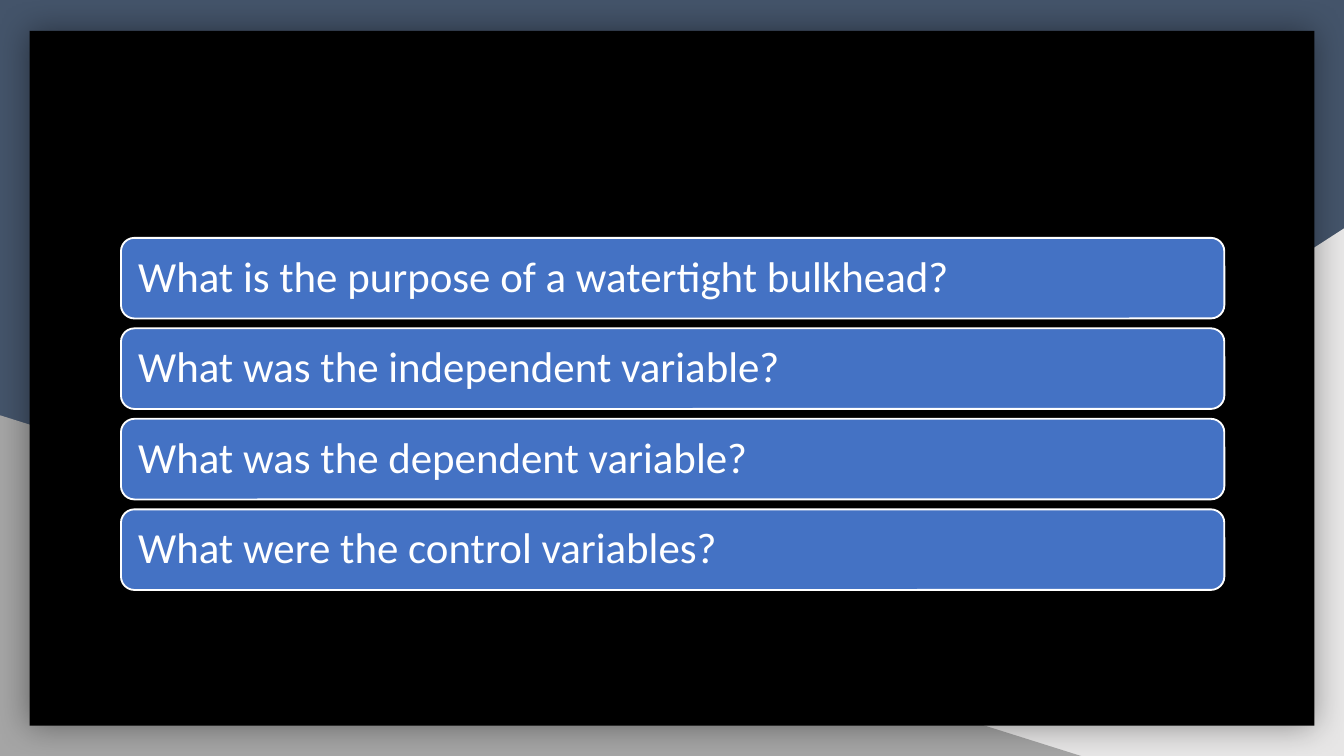
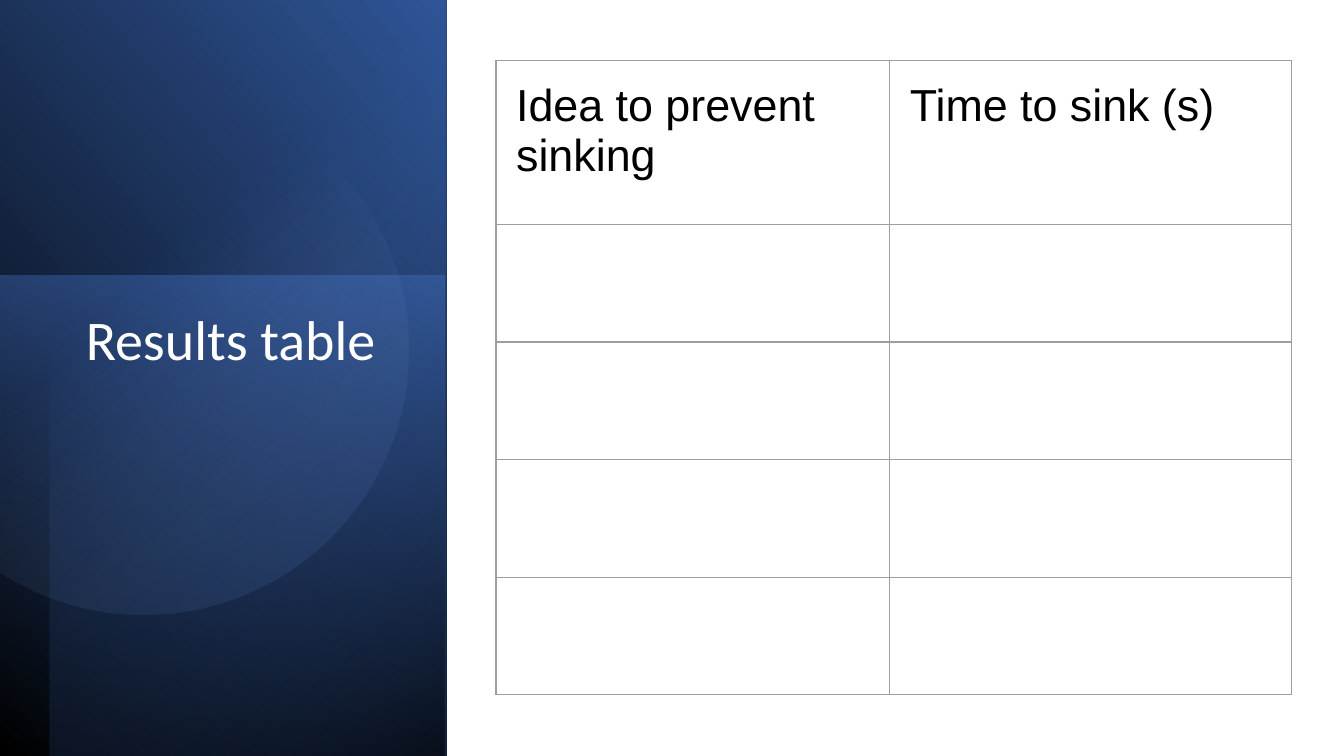
from dataclasses import dataclass
from math import acos, cos, sin

from lxml import etree
from pptx import Presentation
from pptx import util as u
from pptx.dml.color import RGBColor
from pptx.enum import shapes, text
from pptx.oxml.ns import qn

COLORS = {
    "slate": "44546A",
    "silver": "E7E6E6",
    "grey": "A5A5A5",
    "black": "000000",
    "white": "FFFFFF",
    "blue": "4472C4",
    "deep": "2F5597",
    "navy": "203864",
    "sky": "8FAADC",
    "border": "9E9E9E",
}
HEADING_FONT = "Calibri"
TABLE_FONT = "Arial"
RECTANGLE = shapes.MSO_SHAPE.RECTANGLE
TRIANGLE = shapes.MSO_SHAPE.RIGHT_TRIANGLE
ROUNDED = shapes.MSO_SHAPE.ROUNDED_RECTANGLE


@dataclass(frozen=True)
class Stop:
    position: int
    color: str
    opacity: int = 100


@dataclass(frozen=True)
class Panel:
    left: float
    top: float
    width: float
    height: float
    kind: shapes.MSO_SHAPE = RECTANGLE
    color: str = "black"
    stops: tuple[Stop, ...] = ()
    angle: float = 0
    rotation: float = 0
    flipped: bool = False


BACKDROP = (
    Panel(3.92, 1.7, 6.08, 3.93, TRIANGLE, "silver", flipped=True),
    Panel(0, 3.09, 8.06, 2.54, TRIANGLE, "grey"),
)
BOARD = Panel(0.22, 0.23, 9.56, 5.17)
SIDEBAR = (
    Panel(0, 0, 10, 5.62, color="white"),
    Panel(-1.16, 1.15, 5.64, 3.32, stops=(Stop(0, "black"), Stop(100, "deep")),
          angle=310, rotation=90, flipped=True),
    Panel(-0.13, 2.18, 3.57, 3.31, stops=(Stop(0, "blue", 50), Stop(100, "navy", 0)),
          angle=190, rotation=270),
    Panel(-0.97, 1.34, 5.62, 2.94, stops=(Stop(0, "black", 59), Stop(69, "blue", 0)),
          angle=220, rotation=270, flipped=True),
)
DISC_STOPS = (Stop(39, "sky", 0), Stop(100, "deep", 26))
QUESTIONS = (
    "What is the purpose of a watertight bulkhead?",
    "What was the independent variable?",
    "What was the dependent variable?",
    "What were the control variables?",
)
HEADERS = ("Idea to prevent sinking", "Time to sink (s)")
COLUMN_WIDTHS = (2.93, 2.99)
TABLE_HEIGHT = 4.72
HEADER_HEIGHT = 1.22
EMPTY_ROWS = 4
ROW_HEIGHTS = (HEADER_HEIGHT,) + ((TABLE_HEIGHT - HEADER_HEIGHT) / EMPTY_ROWS,) * EMPTY_ROWS


def rgb(name: str) -> RGBColor:
    return RGBColor.from_string(COLORS[name])


def add_color(parent, name: str, opacity: int = 100) -> None:
    color = etree.SubElement(parent, qn("a:srgbClr"), val=COLORS[name])
    if opacity < 100:
        etree.SubElement(color, qn("a:alpha"), val=str(opacity * 1000))


def set_gradient(shape, stops: tuple[Stop, ...], angle: float) -> None:
    shape.fill.background()
    properties = shape._element.spPr
    empty = properties.find(qn("a:noFill"))
    gradient = etree.Element(qn("a:gradFill"), rotWithShape="1")
    stop_list = etree.SubElement(gradient, qn("a:gsLst"))
    for stop in stops:
        entry = etree.SubElement(stop_list, qn("a:gs"), pos=str(stop.position * 1000))
        add_color(entry, stop.color, stop.opacity)
    etree.SubElement(gradient, qn("a:lin"), ang=str(round(angle * 60000)), scaled="0")
    properties.replace(empty, gradient)


def add_panel(slide, panel: Panel):
    shape = slide.shapes.add_shape(
        panel.kind, u.Inches(panel.left), u.Inches(panel.top),
        u.Inches(panel.width), u.Inches(panel.height))
    shape.shadow.inherit = False
    shape.line.fill.background()
    shape.rotation = panel.rotation
    if panel.flipped:
        shape._element.spPr.find(qn("a:xfrm")).set("flipH", "1")
    if panel.stops:
        set_gradient(shape, panel.stops, panel.angle)
    else:
        shape.fill.solid()
        shape.fill.fore_color.rgb = rgb(panel.color)
    return shape


def add_glow(shape) -> None:
    effects = shape._element.spPr.find(qn("a:effectLst"))
    shadow = etree.SubElement(effects, qn("a:outerShdw"), blurRad=str(u.Pt(18)),
                              dist="0", dir="0", algn="ctr", rotWithShape="0")
    add_color(shadow, "black", 40)


def write(frame, content: str, size: float, font: str, color: str,
          spacing: float = 1.0) -> None:
    frame.word_wrap = True
    frame.text = content
    paragraph = frame.paragraphs[0]
    paragraph.alignment = text.PP_ALIGN.LEFT
    paragraph.line_spacing = spacing
    for run in paragraph.runs:
        run.font.size = u.Pt(size)
        run.font.name = font
        run.font.color.rgb = rgb(color)


def set_margins(target, inches: float) -> None:
    for side in ("left", "top", "right", "bottom"):
        setattr(target, f"margin_{side}", u.Inches(inches))


def add_slide(presentation, background: str):
    slide = presentation.slides.add_slide(presentation.slide_layouts[6])
    slide.background.fill.solid()
    slide.background.fill.fore_color.rgb = rgb(background)
    return slide


def add_question(slide, index: int, question: str) -> None:
    bar = add_panel(slide, Panel(0.9, 1.77 + index * 2.02 / 3, 8.21, 0.6, ROUNDED, "blue"))
    bar.line.color.rgb = rgb("white")
    bar.line.width = u.Pt(1)
    set_margins(bar.text_frame, 0.1)
    bar.text_frame.vertical_anchor = text.MSO_ANCHOR.MIDDLE
    write(bar.text_frame, question, 23, HEADING_FONT, "white", 0.9)


def add_disc(slide, center_x: float, center_y: float, radius: float) -> None:
    limit = acos(-center_x / radius)
    steps = 120
    angles = [limit * (2 * step / steps - 1) for step in range(steps + 1)]
    points = [(u.Inches(center_x + radius * cos(angle)),
               u.Inches(center_y + radius * sin(angle))) for angle in angles]
    builder = slide.shapes.build_freeform(*points[0])
    builder.add_line_segments(points[1:], close=True)
    disc = builder.convert_to_shape()
    disc.shadow.inherit = False
    disc.line.fill.background()
    set_gradient(disc, DISC_STOPS, 51.6)


def set_borders(cell) -> None:
    properties = cell._tc.get_or_add_tcPr()
    for position, side in enumerate(("lnL", "lnR", "lnT", "lnB")):
        line = etree.Element(qn(f"a:{side}"), w=str(u.Pt(0.75)))
        add_color(etree.SubElement(line, qn("a:solidFill")), "border")
        properties.insert(position, line)


def add_results_table(slide) -> None:
    table = slide.shapes.add_table(
        len(ROW_HEIGHTS), len(COLUMN_WIDTHS), u.Inches(3.69), u.Inches(0.45),
        u.Inches(sum(COLUMN_WIDTHS)), u.Inches(TABLE_HEIGHT)).table
    table.first_row = False
    table.horz_banding = False
    for column, width in zip(table.columns, COLUMN_WIDTHS):
        column.width = u.Inches(width)
    for row, height in zip(table.rows, ROW_HEIGHTS):
        row.height = u.Inches(height)
    for cell in table.iter_cells():
        cell.fill.background()
        set_margins(cell, 0.15)
        set_borders(cell)
    for cell, header in zip(table.rows[0].cells, HEADERS):
        write(cell.text_frame, header, 24, TABLE_FONT, "black")


def build_questions(presentation) -> None:
    slide = add_slide(presentation, "slate")
    for panel in BACKDROP:
        add_panel(slide, panel)
    add_glow(add_panel(slide, BOARD))
    for index, question in enumerate(QUESTIONS):
        add_question(slide, index, question)


def build_results(presentation) -> None:
    slide = add_slide(presentation, "white")
    for panel in SIDEBAR:
        add_panel(slide, panel)
    add_disc(slide, 1.07, 2.6, 1.97)
    title = slide.shapes.add_textbox(
        u.Inches(0.54), u.Inches(2.27), u.Inches(2.36), u.Inches(2.52))
    write(title.text_frame, "Results table", 30, HEADING_FONT, "white", 0.9)
    add_results_table(slide)


def main() -> None:
    presentation = Presentation()
    presentation.slide_width = u.Inches(10)
    presentation.slide_height = presentation.slide_width * 9 // 16
    build_questions(presentation)
    build_results(presentation)
    presentation.save("out.pptx")


if __name__ == "__main__":
    main()
